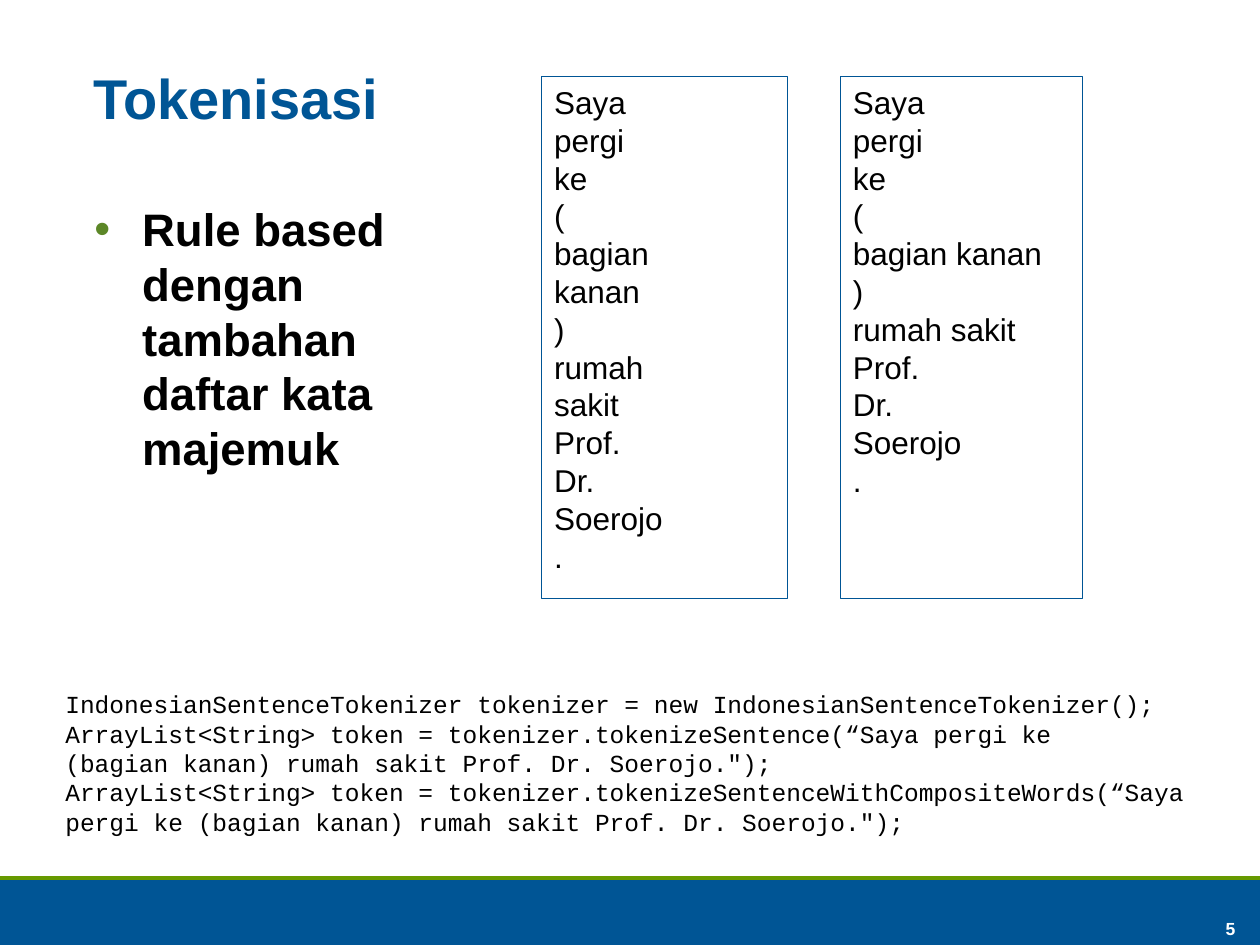
from dataclasses import dataclass

from lxml.etree import SubElement
from pptx import Presentation
from pptx.dml.color import RGBColor
from pptx.enum.shapes import MSO_CONNECTOR, MSO_SHAPE
from pptx.enum.text import MSO_ANCHOR, MSO_AUTO_SIZE, PP_ALIGN
from pptx.oxml.ns import qn
from pptx.util import Inches, Pt


@dataclass(frozen=True)
class Theme:
    """Colours, fonts and type sizes of the slide."""

    blue: RGBColor = RGBColor(0x00, 0x55, 0x95)
    green: RGBColor = RGBColor(0x66, 0x99, 0x00)
    bullet: str = "5C8727"
    black: RGBColor = RGBColor(0, 0, 0)
    white: RGBColor = RGBColor(255, 255, 255)
    sans: str = "Arial"
    mono: str = "Courier New"
    title: int = 32
    body: int = 26
    token: int = 18
    code: int = 14
    number: int = 10


THEME = Theme()
WORD_TOKENS = ["Saya", "pergi", "ke", "(", "bagian", "kanan", ")",
               "rumah", "sakit", "Prof.", "Dr.", "Soerojo", "."]
COMPOSITE_TOKENS = ["Saya", "pergi", "ke", "(", "bagian kanan", ")",
                    "rumah sakit", "Prof.", "Dr.", "Soerojo", "."]
CODE_LINES = [
    "IndonesianSentenceTokenizer tokenizer = new IndonesianSentenceTokenizer();",
    "ArrayList<String> token = tokenizer.tokenizeSentence(“Saya pergi ke ",
    "(bagian kanan) rumah sakit Prof. Dr. Soerojo.\");",
    "ArrayList<String> token = tokenizer.tokenizeSentenceWithCompositeWords(“Saya ",
    "pergi ke (bagian kanan) rumah sakit Prof. Dr. Soerojo.\");",
]


def write_lines(frame, lines, size, color=THEME.black, font=THEME.sans, bold=False):
    """Fill a text frame with one left-aligned paragraph per line."""
    for index, line in enumerate(lines):
        paragraph = frame.paragraphs[0] if index == 0 else frame.add_paragraph()
        paragraph.text = line
        paragraph.alignment = PP_ALIGN.LEFT
        paragraph.font.name = font
        paragraph.font.size = Pt(size)
        paragraph.font.bold = bold
        paragraph.font.color.rgb = color


def add_text(slide, box, lines, size, wrap=True, anchor=MSO_ANCHOR.TOP, **style):
    """Add a text box and return its frame."""
    frame = slide.shapes.add_textbox(*map(Inches, box)).text_frame
    frame.word_wrap = wrap
    frame.vertical_anchor = anchor
    write_lines(frame, lines, size, **style)
    return frame


def add_footer(slide, box, number):
    """Draw the footer band with its top rule and slide number."""
    left, top, width, height = box
    band = slide.shapes.add_shape(MSO_SHAPE.RECTANGLE, *map(Inches, box))
    band.shadow.inherit = False
    band.fill.solid()
    band.fill.fore_color.rgb = THEME.blue
    band.line.fill.background()
    rule = slide.shapes.add_connector(
        MSO_CONNECTOR.STRAIGHT, *map(Inches, (left, top, left + width, top)))
    rule.line.color.rgb = THEME.green
    rule.line.width = Pt(2)
    SubElement(rule._element.spPr, qn("a:effectLst"))
    number_box = (left + width - 0.37, top + height - 0.27, 0.37, 0.27)
    add_text(slide, number_box, [number], THEME.number, wrap=False,
             anchor=MSO_ANCHOR.BOTTOM, color=THEME.white, bold=True)


def set_title(slide, box, text):
    """Place and format the title placeholder."""
    title = slide.shapes.title
    title.left, title.top, title.width, title.height = map(Inches, box)
    frame = title.text_frame
    frame.auto_size = MSO_AUTO_SIZE.NONE
    frame.vertical_anchor = MSO_ANCHOR.BOTTOM
    write_lines(frame, [text], THEME.title, color=THEME.blue, bold=True)
    frame.paragraphs[0].line_spacing = 0.95


def add_bullet(slide, box, text):
    """Add a bold bulleted statement with a hanging indent."""
    frame = add_text(slide, box, [text], THEME.body, bold=True)
    properties = frame.paragraphs[0]._p.get_or_add_pPr()
    properties.set("marL", str(Inches(0.38)))
    properties.set("indent", str(-Inches(0.38)))
    color = SubElement(properties, qn("a:buClr"))
    SubElement(color, qn("a:srgbClr"), val=THEME.bullet)
    SubElement(properties, qn("a:buFont"), typeface=THEME.sans)
    SubElement(properties, qn("a:buChar"), char="•")
    properties.append(properties.find(qn("a:defRPr")))


def add_token_box(slide, box, tokens):
    """Draw an outlined box listing one token per line."""
    shape = slide.shapes.add_shape(MSO_SHAPE.RECTANGLE, *map(Inches, box))
    shape.shadow.inherit = False
    shape.fill.background()
    shape.line.color.rgb = THEME.blue
    shape.line.width = Pt(0.75)
    shape.text_frame.word_wrap = True
    shape.text_frame.vertical_anchor = MSO_ANCHOR.TOP
    write_lines(shape.text_frame, tokens, THEME.token)


def build_slide(presentation):
    """Compose the tokenisation slide."""
    slide = presentation.slides.add_slide(presentation.slide_layouts[5])
    add_footer(slide, (0, 6.97, 10, 0.53), "5")
    set_title(slide, (0.64, 0.15, 9.05, 0.95), "Tokenisasi")
    add_bullet(slide, (0.65, 1.55, 2.6, 4.54),
               "Rule based dengan tambahan daftar kata majemuk")
    for left, width, tokens in ((4.3, 1.95, WORD_TOKENS), (6.67, 1.92, COMPOSITE_TOKENS)):
        add_token_box(slide, (left, 0.61, width, 4.14), tokens)
    add_text(slide, (0.42, 5.42, 9.25, 1.51), CODE_LINES, THEME.code,
             wrap=False, font=THEME.mono)


def main():
    """Create and save the presentation."""
    presentation = Presentation()
    presentation.slide_width = Inches(10)
    presentation.slide_height = Inches(7.5)
    build_slide(presentation)
    presentation.save("out.pptx")


main()
